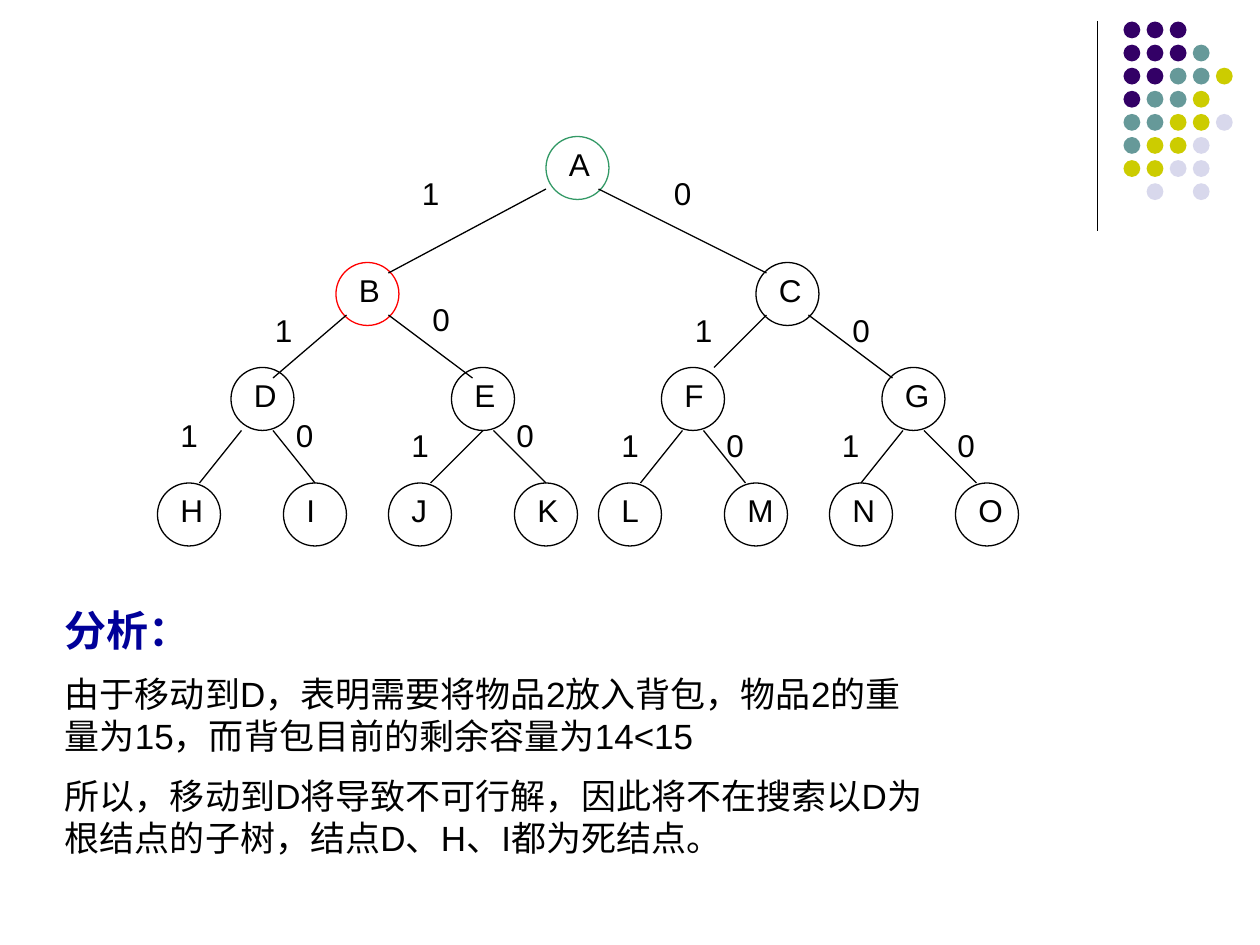
from typing import NamedTuple

from lxml import etree
from pptx import Presentation
from pptx import util as u
from pptx.dml.color import RGBColor
from pptx.enum import shapes, text
from pptx.oxml.ns import qn

COLS = 120  # grid columns across the slide; rows have the same pitch
FONT = "Arial"
BLACK = "000000"

DOT_COLORS = {"p": "330066", "t": "669999", "y": "CCCC00", "l": "D8D8EC"}
DOT_ROWS = ["ppp", "pppt", "pptty", "ptty", "ttyyl", "tyyl", "yyll", " l l"]
DOT_LEFT, DOT_TOP, DOT_PITCH, DOT_SIZE = 107, 2.05, 2.2, 1.6


class Node(NamedTuple):
    name: str
    col: float
    row: float
    color: str = BLACK


class Edge(NamedTuple):
    bit: str
    start: tuple[float, float]
    end: tuple[float, float]
    label: tuple[float, float]


NODES = [
    Node("A", 52, 13, "339966"), Node("B", 32, 25, "FF0000"), Node("C", 72, 25),
    *(Node(name, col, 35) for name, col in zip("DEFG", (22, 43, 63, 84))),
    *(Node(name, col, 46)
      for name, col in zip("HIJKLMNO", (15, 27, 37, 49, 57, 69, 79, 91))),
]

EDGES = [
    Edge("1", (52, 18), (37, 26), (39, 16)),
    Edge("0", (57, 18), (73, 26), (63, 16)),
    Edge("1", (33, 30), (26, 36), (25, 29)),
    Edge("0", (37, 30), (45, 36), (40, 28)),
    Edge("1", (73, 30), (68, 35), (65, 29)),
    Edge("0", (77, 30), (85, 36), (80, 29)),
    Edge("1", (23, 41), (19, 46), (16, 39)),
    Edge("0", (26, 41), (30, 46), (27, 39)),
    Edge("1", (46, 41), (41, 46), (38, 40)),
    Edge("0", (47, 41), (52, 46), (48, 39)),
    Edge("1", (65, 41), (61, 46), (58, 40)),
    Edge("0", (67, 41), (71, 46), (68, 40)),
    Edge("1", (86, 41), (82, 46), (79, 40)),
    Edge("0", (88, 41), (93, 46), (90, 40)),
]

ANALYSIS = [
    ("分析：", 24, "000099", True),
    ("由于移动到D，表明需要将物品2放入背包，物品2的重量为15，"
     "而背包目前的剩余容量为14<15", 20, BLACK, False),
    ("所以，移动到D将导致不可行解，因此将不在搜索以D为根结点的子树，"
     "结点D、H、I都为死结点。", 20, BLACK, False),
]

prs = Presentation()
prs.slide_width, prs.slide_height = u.Inches(10), u.Inches(7.5)
slide = prs.slides.add_slide(prs.slide_layouts[6])


def grid(*cells: float) -> list[int]:
    """Turn grid columns or rows into slide lengths."""
    return [round(cell * prs.slide_width / COLS) for cell in cells]


def rgb(color: str) -> RGBColor:
    return RGBColor.from_string(color)


def add_circle(col: float, row: float, size: float,
               fill: str | None = None, line: str | None = None) -> None:
    sp = slide.shapes.add_shape(shapes.MSO_SHAPE.OVAL, *grid(col, row, size, size))
    sp.shadow.inherit = False
    for part, color in ((sp.fill, fill), (sp.line.fill, line)):
        if color:
            part.solid()
            part.fore_color.rgb = rgb(color)
        else:
            part.background()
    if line:
        sp.line.width = u.Pt(0.75)


def add_line(start: tuple[float, float], end: tuple[float, float]) -> None:
    cxn = slide.shapes.add_connector(
        shapes.MSO_CONNECTOR.STRAIGHT, *grid(*start, *end))
    cxn.line.color.rgb = rgb(BLACK)
    cxn.line.width = u.Pt(0.75)
    etree.SubElement(cxn._element.spPr, qn("a:effectLst"))


def add_text(col: float, row: float, width: float, height: float,
             paragraphs: list[tuple[str, float, str, bool]]) -> None:
    tf = slide.shapes.add_textbox(*grid(col, row, width, height)).text_frame
    tf.word_wrap = True
    tf.auto_size = text.MSO_AUTO_SIZE.SHAPE_TO_FIT_TEXT
    for i, (words, size, color, bold) in enumerate(paragraphs):
        p = tf.add_paragraph() if i else tf.paragraphs[0]
        p.text = words
        if i:
            p.space_before = u.Pt(10)
        font = p.runs[0].font
        font.name, font.size, font.bold = FONT, u.Pt(size), bold
        font.color.rgb = rgb(color)


def add_label(words: str, col: float, row: float) -> None:
    add_text(col, row, 5, 4.8, [(words, 18, BLACK, False)])


add_line((104.5, 2), (104.5, 22))
for row, codes in enumerate(DOT_ROWS):
    for col, code in enumerate(codes):
        if code in DOT_COLORS:
            add_circle(DOT_LEFT + col * DOT_PITCH, DOT_TOP + row * DOT_PITCH,
                       DOT_SIZE, fill=DOT_COLORS[code])

for node in NODES:
    add_circle(node.col, node.row, 6, line=node.color)
    add_label(node.name, node.col + 1, node.row + 0.2)

for edge in EDGES:
    add_line(edge.start, edge.end)
    add_label(edge.bit, *edge.label)

add_text(5, 57, 85, 26, ANALYSIS)

prs.save("out.pptx")
